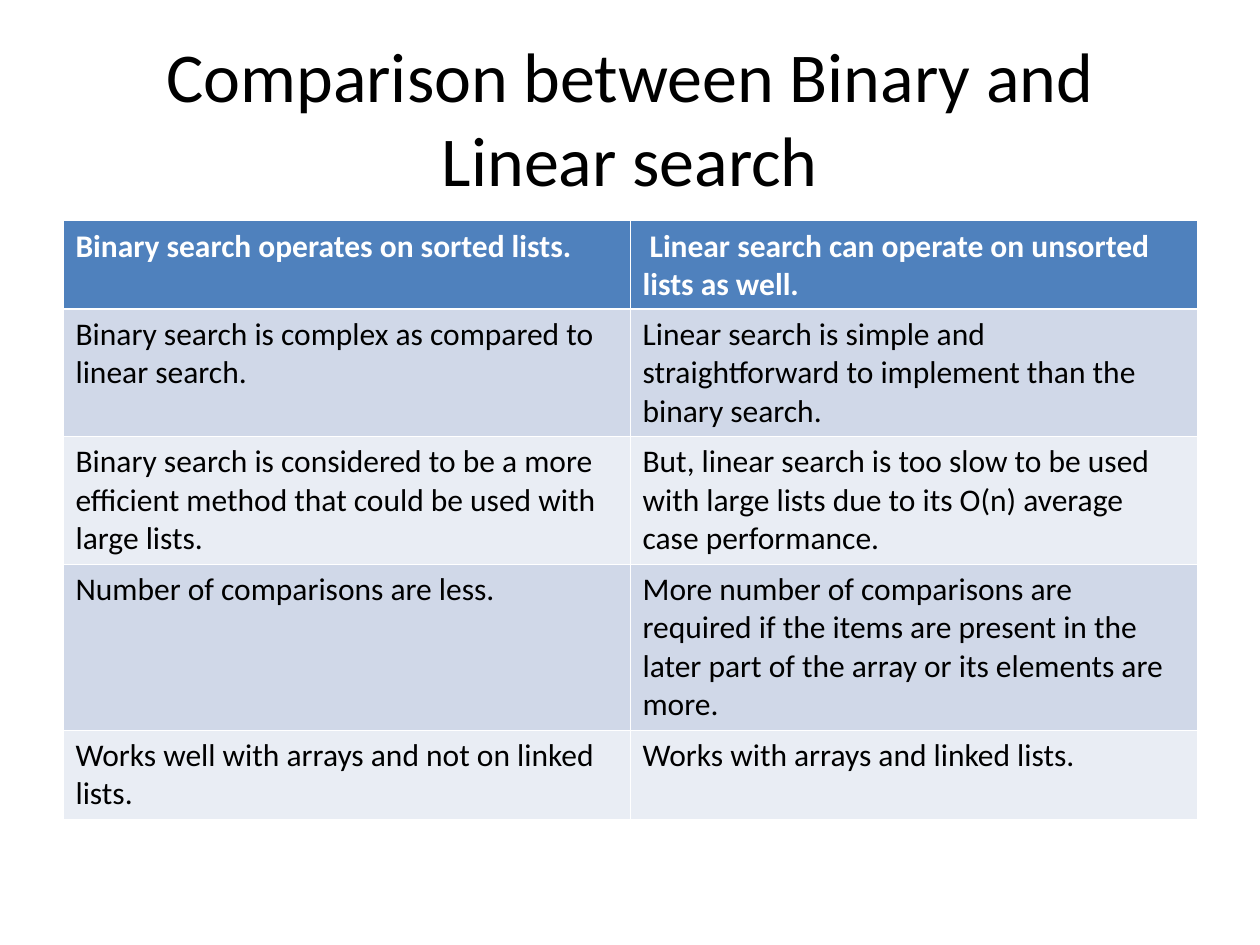
import pptx
import pptx.dml.color
import pptx.enum.text
import pptx.oxml
import pptx.oxml.ns
import pptx.util

COLORS = {
    "black": "000000",
    "white": "FFFFFF",
    "header": "4F81BD",
    "dark_band": "D0D8E8",
    "light_band": "E9EDF4",
}
TITLE_FONT = {"name": "Calibri", "size": pptx.util.Pt(40), "bold": False}
HEADER_FONT = {"name": "Calibri", "size": pptx.util.Pt(18), "bold": True}
BODY_FONT = {**HEADER_FONT, "bold": False}
THIN, THICK = 0.45, 1.47
ROW_HEIGHTS = [1.78, 2.57, 2.57, 3.35, 1.8]
ROWS = [
    ("Binary search operates on sorted lists.",
     " Linear search can operate on unsorted lists as well."),
    ("Binary search is complex as compared to linear search.",
     "Linear search is simple and straightforward to implement than the binary search."),
    ("Binary search is considered to be a more efficient method that could be used with large lists.",
     "But, linear search is too slow to be used with large lists due to its O(n) average case performance."),
    ("Number of comparisons are less.",
     "More number of comparisons are required if the items are present in the later part "
     "of the array or its elements are more."),
    ("Works well with arrays and not on linked lists.",
     "Works with arrays and linked lists."),
]


def rgb(name):
    return pptx.dml.color.RGBColor.from_string(COLORS[name])


def format_font(font, values, color):
    for name, value in values.items():
        setattr(font, name, value)
    font.color.rgb = rgb(color)


def add_title(slide, text, left, top, width, height):
    box = slide.shapes.add_textbox(*map(pptx.util.Cm, (left, top, width, height)))
    frame = box.text_frame
    frame.word_wrap = True
    frame.vertical_anchor = pptx.enum.text.MSO_ANCHOR.MIDDLE
    paragraph = frame.paragraphs[0]
    paragraph.alignment = pptx.enum.text.PP_ALIGN.CENTER
    run = paragraph.add_run()
    run.text = text
    format_font(run.font, TITLE_FONT, "black")


def add_borders(cell, widths):
    properties = cell._tc.get_or_add_tcPr()
    for side, width in widths.items():
        properties.append(pptx.oxml.parse_xml(
            f'<a:ln{side} {pptx.oxml.ns.nsdecls("a")} w="{pptx.util.Pt(width)}">'
            f'<a:solidFill><a:srgbClr val="{COLORS["white"]}"/></a:solidFill>'
            f'</a:ln{side}>'))


def fill_cell(cell, text, row_index):
    is_header = row_index == 0
    add_borders(cell, {
        "L": THIN,
        "R": THIN,
        "T": THICK if row_index == 1 else THIN,
        "B": THICK if is_header else THIN,
    })
    band = "dark_band" if row_index % 2 else "light_band"
    cell.fill.solid()
    cell.fill.fore_color.rgb = rgb("header" if is_header else band)
    run = cell.text_frame.paragraphs[0].add_run()
    run.text = text
    format_font(run.font, HEADER_FONT if is_header else BODY_FONT,
                "white" if is_header else "black")


def add_comparison_table(slide, left, top, width):
    box = map(pptx.util.Cm, (left, top, width, sum(ROW_HEIGHTS)))
    table = slide.shapes.add_table(len(ROWS), len(ROWS[0]), *box).table
    for row_index, (texts, height) in enumerate(zip(ROWS, ROW_HEIGHTS)):
        table.rows[row_index].height = pptx.util.Cm(height)
        for column_index, text in enumerate(texts):
            fill_cell(table.cell(row_index, column_index), text, row_index)


def main():
    presentation = pptx.Presentation()
    presentation.slide_width = pptx.util.Cm(25.4)
    presentation.slide_height = pptx.util.Cm(19.05)
    slide = presentation.slides.add_slide(presentation.slide_layouts[6])
    add_title(slide, "Comparison between Binary and Linear search", 1.27, 0.76, 22.86, 3.18)
    add_comparison_table(slide, 1.27, 4.45, 22.86)
    presentation.save("out.pptx")


if __name__ == "__main__":
    main()
